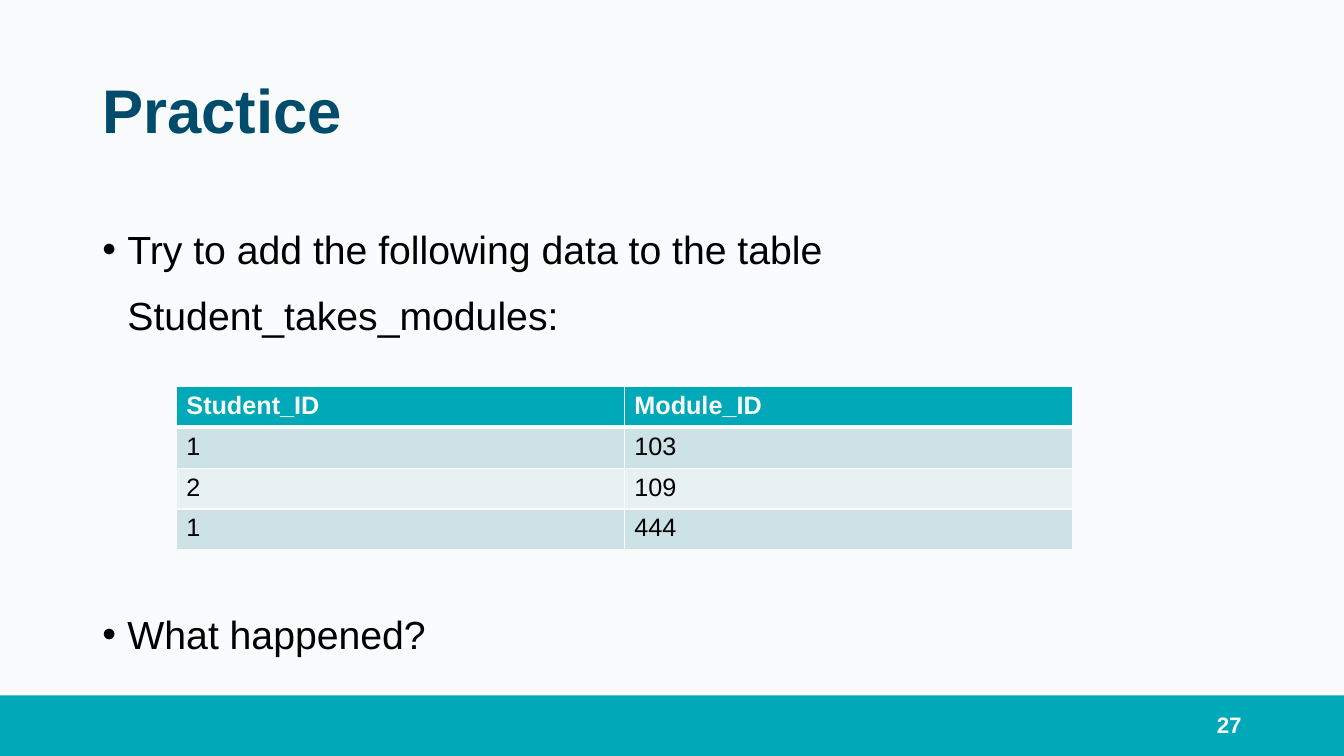
import pptx
import pptx.util
import pptx.dml.color
import pptx.enum.shapes
import pptx.enum.text
import pptx.oxml
import pptx.oxml.ns

Pt = pptx.util.Pt
ANCHOR = pptx.enum.text.MSO_ANCHOR
ALIGN = pptx.enum.text.PP_ALIGN

COLORS = {"page": "FAFBFC", "teal": "00A9B7", "navy": "004C6C", "black": "000000",
          "light": "FAFBFD", "odd": "CCE2E6", "even": "E7F1F3"}
TITLE = "Practice"
BULLETS = [
    ("Try to add the following data to the table Student_takes_modules:", 0),
    ("What happened?", 181),
]
NUMBER = "27"
ROWS = [
    ("Student_ID", "Module_ID"),
    ("1", "103"),
    ("2", "109"),
    ("1", "444"),
]
PAGE_WIDTH, PAGE_HEIGHT = 960, 540
BAND_HEIGHT = 43.2
TABLE_LEFT, TABLE_TOP = 126, 276
COLUMN_WIDTH, ROW_HEIGHT = 320, 29.2
BULLET_INDENT = 18


def rgb(name):
    return pptx.dml.color.RGBColor.from_string(COLORS[name])


def paint(target, name):
    target.fill.solid()
    target.fill.fore_color.rgb = rgb(name)


def write(para, text, size, color, bold=False, **layout):
    span = para.add_run()
    span.text = text
    for key, value in {"name": "Arial", "size": Pt(size), "bold": bold}.items():
        setattr(span.font, key, value)
    span.font.color.rgb = rgb(color)
    for key, value in layout.items():
        setattr(para, key, value)


def add_box(page, left, top, width, height, anchor):
    box = page.shapes.add_textbox(Pt(left), Pt(top), Pt(width), Pt(height))
    box.text_frame.word_wrap = True
    box.text_frame.vertical_anchor = anchor
    return box.text_frame


def add_bullet(para):
    props = para._p.get_or_add_pPr()
    props.set("marL", str(Pt(BULLET_INDENT)))
    props.set("indent", str(-Pt(BULLET_INDENT)))
    namespace = pptx.oxml.ns.nsdecls("a")
    props.append(pptx.oxml.parse_xml(f'<a:buFont {namespace} typeface="Arial"/>'))
    props.append(pptx.oxml.parse_xml(f'<a:buChar {namespace} char="•"/>'))


def add_borders(cell, widths):
    props = cell._tc.get_or_add_tcPr()
    namespace = pptx.oxml.ns.nsdecls("a")
    for position, (side, width) in enumerate(widths.items()):
        props.insert(position, pptx.oxml.parse_xml(
            f'<a:{side} {namespace} w="{Pt(width)}"><a:solidFill>'
            f'<a:srgbClr val="{COLORS["light"]}"/></a:solidFill></a:{side}>'))


def add_data_table(page):
    columns = len(ROWS[0])
    frame = page.shapes.add_table(
        len(ROWS), columns, Pt(TABLE_LEFT), Pt(TABLE_TOP),
        Pt(COLUMN_WIDTH * columns), Pt(ROW_HEIGHT * len(ROWS)))
    table = frame.table
    for column in table.columns:
        column.width = Pt(COLUMN_WIDTH)
    for index, values in enumerate(ROWS):
        header = index == 0
        table.rows[index].height = Pt(ROW_HEIGHT)
        fill = "teal" if header else ("odd" if index % 2 else "even")
        widths = {"lnL": 1, "lnR": 1, "lnT": 3 if index == 1 else 1,
                  "lnB": 3 if header else 1}
        for position, value in enumerate(values):
            cell = table.cell(index, position)
            paint(cell, fill)
            add_borders(cell, widths)
            write(cell.text_frame.paragraphs[0], value, 18,
                  "light" if header else "black", header)


def main():
    deck = pptx.Presentation()
    deck.slide_width, deck.slide_height = Pt(PAGE_WIDTH), Pt(PAGE_HEIGHT)
    page = deck.slides.add_slide(deck.slide_layouts[6])
    paint(page.background, "page")

    band = page.shapes.add_shape(
        pptx.enum.shapes.MSO_SHAPE.RECTANGLE, 0, Pt(PAGE_HEIGHT - BAND_HEIGHT),
        Pt(PAGE_WIDTH), Pt(BAND_HEIGHT))
    band.shadow.inherit = False
    paint(band, "teal")
    band.line.fill.background()

    title = add_box(page, 66, 28.8, 828, 104.4, ANCHOR.MIDDLE)
    write(title.paragraphs[0], TITLE, 44, "navy", True, line_spacing=0.9)

    body = add_box(page, 66, 144, 828, 342.7, ANCHOR.TOP)
    for index, (text, gap) in enumerate(BULLETS):
        para = body.add_paragraph() if index else body.paragraphs[0]
        add_bullet(para)
        write(para, text, 28, "black", line_spacing=1.4, space_before=Pt(gap))

    number = add_box(page, 678, 503.3, 216, 28.8, ANCHOR.MIDDLE)
    write(number.paragraphs[0], NUMBER, 16, "light", True, alignment=ALIGN.RIGHT)

    add_data_table(page)
    deck.save("out.pptx")


if __name__ == "__main__":
    main()
